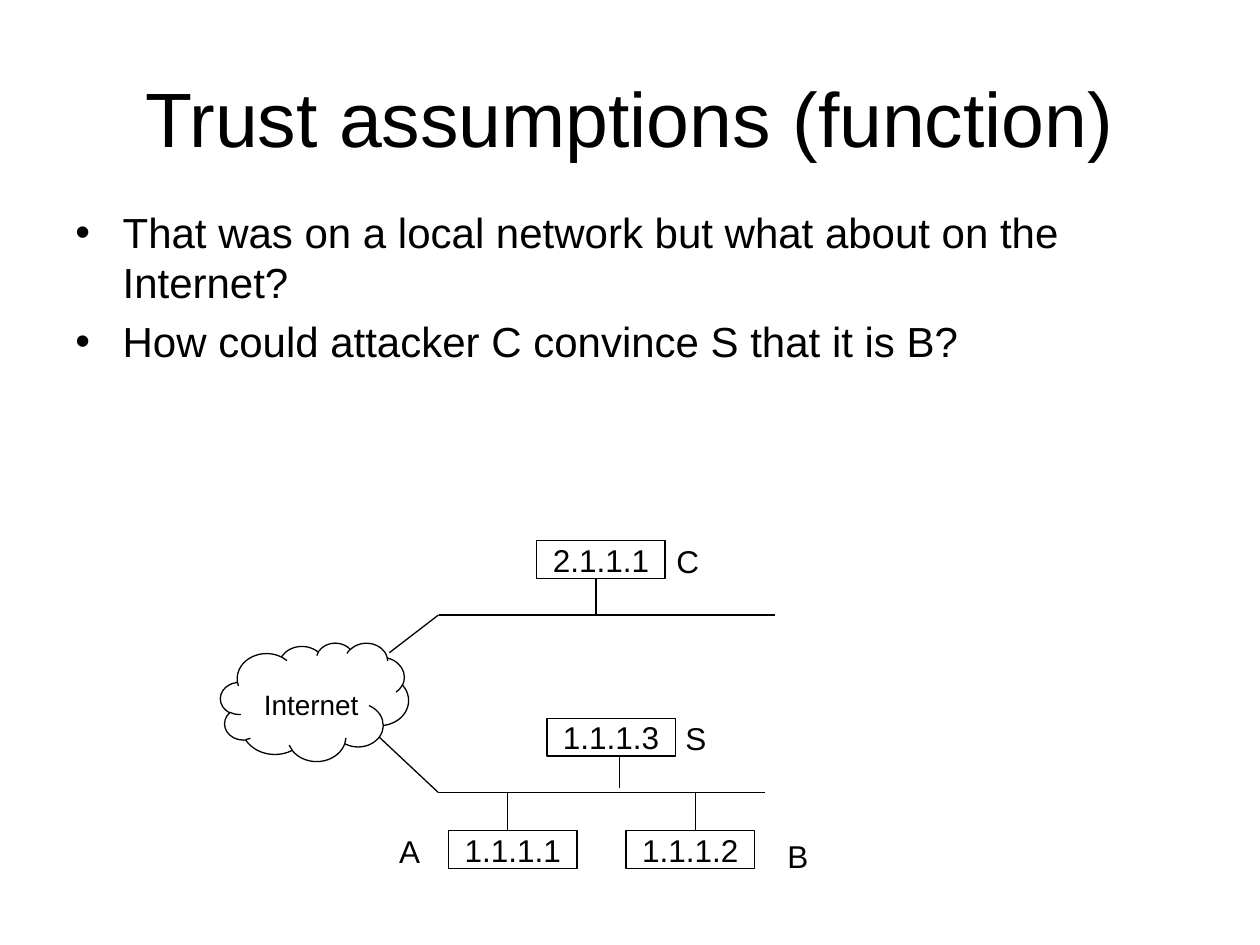
from lxml import etree
from pptx import Presentation
from pptx.dml.color import RGBColor
from pptx.enum.shapes import MSO_CONNECTOR, MSO_SHAPE
from pptx.enum.text import MSO_ANCHOR, PP_ALIGN
from pptx.oxml.ns import qn
from pptx.util import Pt

STRAIGHT = MSO_CONNECTOR.STRAIGHT
RECTANGLE, CLOUD = MSO_SHAPE.RECTANGLE, MSO_SHAPE.CLOUD
LEFT, CENTER = PP_ALIGN.LEFT, PP_ALIGN.CENTER
TOP, MIDDLE = MSO_ANCHOR.TOP, MSO_ANCHOR.MIDDLE
BLACK, WHITE = "000000", "FFFFFF"
FONT = "Arial"
INSETS = (7.2, 3.6, 7.2, 3.6)
HOST_WIDTH, HOST_HEIGHT = 73.4, 21.6


def color(value):
    """Return the colour for a hex string."""
    return RGBColor.from_string(value)


def write_text(shape, *lines, size=18, align=LEFT, anchor=TOP, wrap=True,
               insets=INSETS, space_before=0, bullet_indent=0):
    """Write one paragraph per line into a shape."""
    frame = shape.text_frame
    frame.word_wrap = wrap
    frame.vertical_anchor = anchor
    (frame.margin_left, frame.margin_top,
     frame.margin_right, frame.margin_bottom) = map(Pt, insets)
    for index, line in enumerate(lines):
        paragraph = frame.paragraphs[0] if index == 0 else frame.add_paragraph()
        paragraph.alignment = align
        paragraph.space_before = Pt(space_before if index else 0)
        run = paragraph.add_run()
        run.text = line
        run.font.size = Pt(size)
        run.font.name = FONT
        run.font.color.rgb = color(BLACK)
        if bullet_indent:
            add_bullet(paragraph, bullet_indent)


def add_bullet(paragraph, indent):
    """Give a paragraph a round bullet with a hanging indent."""
    properties = paragraph._p.get_or_add_pPr()
    properties.set("marL", str(Pt(indent)))
    properties.set("indent", str(-Pt(indent)))
    etree.SubElement(properties, qn("a:buFont"), typeface=FONT)
    etree.SubElement(properties, qn("a:buChar"), char="•")


def add_text_box(slide, box, *lines, **text_format):
    """Add a text box holding the given lines."""
    shape = slide.shapes.add_textbox(*map(Pt, box))
    write_text(shape, *lines, **text_format)


def add_outlined_shape(slide, kind, box, text, **text_format):
    """Add a white shape with a thin black outline and text."""
    shape = slide.shapes.add_shape(kind, *map(Pt, box))
    shape.shadow.inherit = False
    shape.fill.solid()
    shape.fill.fore_color.rgb = color(WHITE)
    shape.line.color.rgb = color(BLACK)
    shape.line.width = Pt(0.75)
    write_text(shape, text, anchor=MIDDLE, **text_format)


def add_line(slide, start, end):
    """Add a thin black straight connector."""
    line = slide.shapes.add_connector(STRAIGHT, *map(Pt, (*start, *end)))
    line.line.color.rgb = color(BLACK)
    line.line.width = Pt(0.75)
    etree.SubElement(line._element.spPr, qn("a:effectLst"))


def add_host(slide, left, top, address, name, name_offset):
    """Add a host box with its address and a name beside it."""
    add_outlined_shape(slide, RECTANGLE, (left, top, HOST_WIDTH, HOST_HEIGHT),
                       address, align=CENTER)
    across, down = name_offset
    add_text_box(slide, (left + across, top + down, 27, 29), name, wrap=False)


def add_network(slide, left, top):
    """Draw two networks joined by the Internet cloud."""
    bus_left, upper_bus, lower_bus = left + 124.6, top + 42.4, top + 144
    add_line(slide, (bus_left, upper_bus), (left + 316.8, upper_bus))
    add_line(slide, (bus_left, lower_bus), (left + 311, lower_bus))
    add_line(slide, (bus_left, upper_bus), (left + 96.5, top + 64))
    add_line(slide, (left + 90.7, top + 112.2), (bus_left, lower_bus))
    add_outlined_shape(slide, CLOUD, (left, top + 58.3, 107.5, 67.7), "Internet",
                       size=16, insets=(10, 6.5, 0, 1))

    hosts = [
        (180.7, 0, "2.1.1.1", "C", (72.7, -2.9)),
        (186.5, 101.5, "1.1.1.3", "S", (72, -2.9)),
        (130.3, 165.6, "1.1.1.1", "A", (-35.3, -2.9)),
        (231.8, 165.6, "1.1.1.2", "B", (85, 0)),
    ]
    for across, down, address, name, name_offset in hosts:
        add_host(slide, left + across, top + down, address, name, name_offset)

    drops = [(214.6, 21.6, 42.4), (228.2, 123, 141),
             (164.2, 144, 165.6), (271.4, 144, 165.6)]
    for across, start, end in drops:
        add_line(slide, (left + across, top + start), (left + across, top + end))


def main():
    """Build the slide and save it."""
    presentation = Presentation()
    presentation.slide_width, presentation.slide_height = Pt(720), Pt(540)
    slide = presentation.slides.add_slide(presentation.slide_layouts[6])
    add_text_box(slide, (36, 21.6, 648, 90), "Trust assumptions (function)",
                 size=44, align=CENTER, anchor=MIDDLE)
    add_text_box(slide, (36, 114.5, 648, 356.4),
                 "That was on a local network but what about on the Internet?",
                 "How could attacker C convince S that it is B?",
                 size=24, space_before=4.8, bullet_indent=27)
    add_network(slide, 126, 309)
    presentation.save("out.pptx")


if __name__ == "__main__":
    main()
